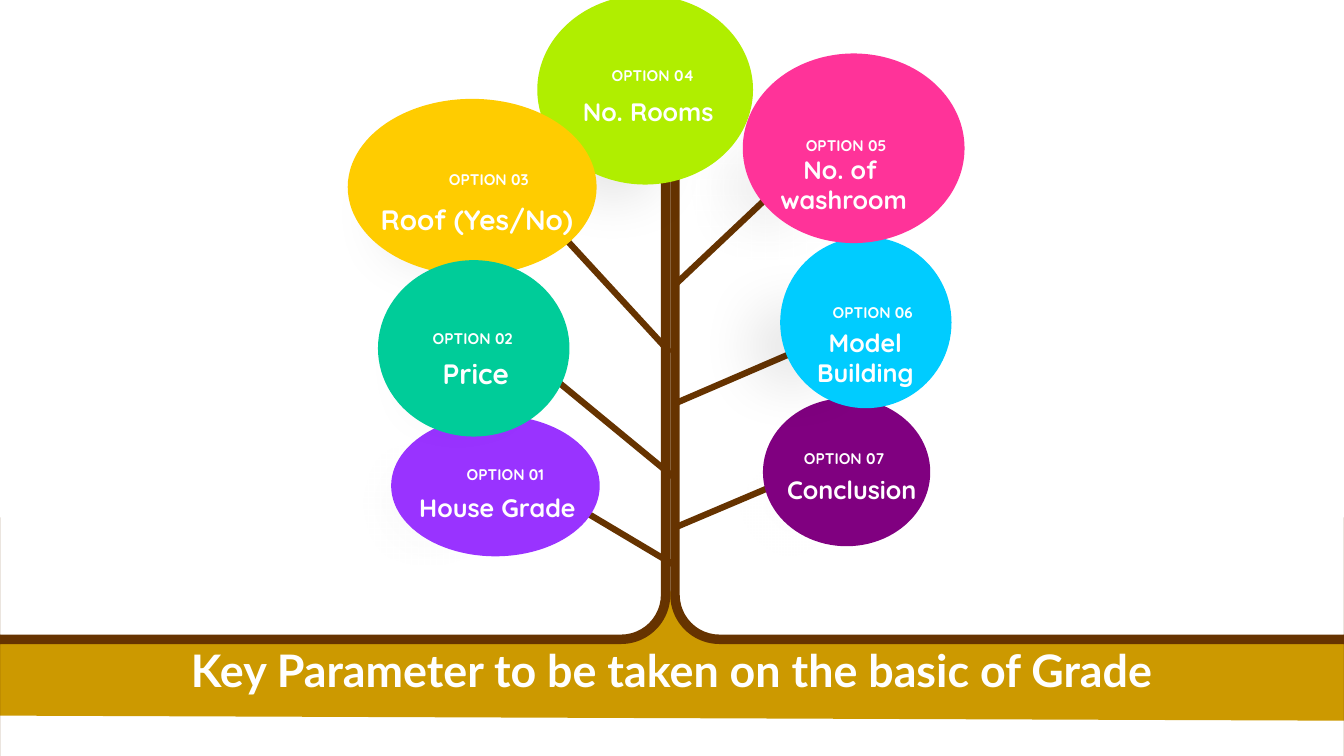
from dataclasses import dataclass
from typing import NamedTuple

import lxml.etree
import pptx
import pptx.dml.color
import pptx.enum.shapes
import pptx.enum.text
import pptx.oxml.ns
import pptx.util

Pt = pptx.util.Pt
qn = pptx.oxml.ns.qn
MSO_SHAPE = pptx.enum.shapes.MSO_SHAPE


@dataclass(frozen=True)
class Theme:
    soil: str = "CC9900"
    bark: str = "663300"
    shade: str = "000000"
    text: str = "FFFFFF"
    heading_font: str = "Lato"
    label_font: str = "Quicksand"
    heading_size: float = 32
    option_size: float = 11
    shade_opacity: int = 21000
    soft_edge: float = 50
    branch_width: float = 4.5


class Box(NamedTuple):
    left: float
    top: float
    width: float
    height: float


class Branch(NamedTuple):
    x1: float
    y1: float
    x2: float
    y2: float


@dataclass(frozen=True)
class Leaf:
    number: int
    name: str
    color: str
    shade: Box
    ball: Box
    option: Box
    caption: Box
    size: float = 18


THEME = Theme()
WIDTH, HEIGHT = 960, 540
TRUNK_X, TRUNK_TOP, TRUNK_HEIGHT = 478.8, 92.9, 450.7
TRUNK_ADJUSTMENTS = (0.015, 0.193, 0, 0.078)
TITLE = "Key Parameter to be taken on the basic of Grade"
TITLE_BOX = Box(0, 453, WIDTH, 50)
TRUNK_SHADE = Box(436.3, 121, 71.3, 375.1)

GROUND = [
    (-1.4, 455.8), (447.1, 457.9), (468.7, 446.4), (477.4, 419), (490.3, 446.4),
    (515.5, 457.9), (812.9, 456.5), (962.6, 456.5), (961.2, 514.8), (-2.2, 511.2),
]
BRANCHES = [
    Branch(478.8, 252, 387.4, 152.6),
    Branch(481, 204.5, 558, 131.8),
    Branch(481, 340.6, 387.4, 263.5),
    Branch(481, 288.7, 579.6, 246.2),
    Branch(481, 403.2, 413.3, 362.9),
    Branch(481, 377.3, 555.8, 345.6),
]
LEAVES = [
    Leaf(1, "House Grade ", "9933FF", Box(209.5, 288.7, 191.5, 141.8), Box(279.4, 296.6, 149, 100.8),
         Box(303.8, 329, 114.5, 20.9), Box(270, 347.8, 175.7, 28.8)),
    Leaf(7, "Conclusion", "800080", Box(480.2, 291.6, 167, 141.8), Box(545, 284.4, 119.5, 105.8),
         Box(553, 317.5, 100, 20.9), Box(551.5, 335.5, 113.8, 28.8)),
    Leaf(6, "Model Building", "00CCFF", Box(475.2, 157, 180, 180), Box(557.3, 169.2, 122.4, 122.4),
         Box(581, 213.1, 85, 20.9), Box(551.5, 230.4, 133.2, 51.1)),
    Leaf(5, "No. of \nwashroom", "FF3399", Box(457.9, 50.4, 177.8, 167), Box(530.6, 38.2, 158.4, 135.4),
         Box(560.9, 93.6, 87.1, 20.9), Box(512.6, 106.6, 180, 51.1)),
    Leaf(4, "No. Rooms", "B0EE00", Box(339.1, 24.5, 197.3, 173.5), Box(383.8, -3.6, 154.1, 135.4),
         Box(418.3, 43.9, 96.5, 20.9), Box(369.4, 65.5, 187.2, 28.8)),
    Leaf(3, "Roof (Yes/No)", "FFCC00", Box(209.5, 62.6, 201.6, 180), Box(248.4, 70.6, 177.8, 126),
         Box(301.7, 118.1, 95, 20.9), Box(251.3, 141.1, 178.6, 31.7), 20),
    Leaf(2, "Price", "00CC99", Box(236.9, 172.1, 180, 180), Box(270, 185.8, 136.8, 126),
         Box(295.2, 231.8, 85, 20.9), Box(272.9, 251.3, 133.9, 31.7), 20),
]


def rgb(color: str) -> pptx.dml.color.RGBColor:
    return pptx.dml.color.RGBColor.from_string(color)


def paint(sp, color: str) -> None:
    """Give a shape a flat fill, with no outline and no shadow."""
    sp.fill.solid()
    sp.fill.fore_color.rgb = rgb(color)
    sp.line.fill.background()
    sp.shadow.inherit = False


def add_solid(shapes, kind, box: Box, color: str):
    sp = shapes.add_shape(kind, *map(Pt, box))
    paint(sp, color)
    return sp


def add_shade(shapes, kind, box: Box) -> None:
    """Draw a translucent dark shape with blurred edges."""
    props = add_solid(shapes, kind, box, THEME.shade).element.spPr
    color = props.find(qn("a:solidFill")).find(qn("a:srgbClr"))
    lxml.etree.SubElement(color, qn("a:alpha"), val=str(THEME.shade_opacity))
    effects = props.find(qn("a:effectLst"))
    lxml.etree.SubElement(effects, qn("a:softEdge"), rad=str(Pt(THEME.soft_edge)))


def write(tf, text: str, font: str, size: float) -> None:
    tf.word_wrap = True
    tf.text = text
    for p in tf.paragraphs:
        p.alignment = pptx.enum.text.PP_ALIGN.CENTER
        for r in p.runs:
            for key, value in {"name": font, "size": Pt(size), "bold": True}.items():
                setattr(r.font, key, value)
            r.font.color.rgb = rgb(THEME.text)


def add_label(shapes, box: Box, text: str, size: float) -> None:
    tf = shapes.add_textbox(*map(Pt, box)).text_frame
    write(tf, text, THEME.label_font, size)
    tf.auto_size = pptx.enum.text.MSO_AUTO_SIZE.SHAPE_TO_FIT_TEXT


def add_ground(s) -> None:
    points = [(Pt(x), Pt(y)) for x, y in GROUND]
    builder = s.shapes.build_freeform(*points[0])
    builder.add_line_segments(points[1:], close=True)
    paint(builder.convert_to_shape(), THEME.soil)


def add_trunk(s) -> None:
    """Draw two mirrored bent arrows that meet as the trunk."""
    trunk = s.shapes.add_group_shape()
    for left, right, mirrored in ((0, TRUNK_X, False), (TRUNK_X, WIDTH, True)):
        box = Box(left, TRUNK_TOP, right - left, TRUNK_HEIGHT)
        sp = add_solid(trunk.shapes, MSO_SHAPE.BENT_ARROW, box, THEME.bark)
        for i, value in enumerate(TRUNK_ADJUSTMENTS):
            sp.adjustments[i] = value
        sp.rotation = 180
        if mirrored:
            sp.element.spPr.find(qn("a:xfrm")).set("flipH", "1")


def add_branch(s, branch: Branch) -> None:
    line = s.shapes.add_connector(pptx.enum.shapes.MSO_CONNECTOR.STRAIGHT, *map(Pt, branch))
    line.line.color.rgb = rgb(THEME.bark)
    line.line.width = Pt(THEME.branch_width)
    lxml.etree.SubElement(line.element.spPr, qn("a:effectLst"))


def add_leaf(s, leaf: Leaf) -> None:
    shapes = s.shapes.add_group_shape().shapes
    add_shade(shapes, MSO_SHAPE.OVAL, leaf.shade)
    add_solid(shapes, MSO_SHAPE.OVAL, leaf.ball, leaf.color)
    add_label(shapes, leaf.option, f"OPTION {leaf.number:02}", THEME.option_size)
    add_label(shapes, leaf.caption, leaf.name, leaf.size)


def add_title(s) -> None:
    title = s.shapes.title
    for key, value in TITLE_BOX._asdict().items():
        setattr(title, key, Pt(value))
    write(title.text_frame, TITLE, THEME.heading_font, THEME.heading_size)
    title.text_frame.vertical_anchor = pptx.enum.text.MSO_ANCHOR.MIDDLE
    title.element.getparent().append(title.element)


def main() -> None:
    prs = pptx.Presentation()
    prs.slide_width, prs.slide_height = Pt(WIDTH), Pt(HEIGHT)
    s = prs.slides.add_slide(prs.slide_layouts[5])
    add_ground(s)
    add_title(s)
    add_shade(s.shapes, MSO_SHAPE.RECTANGLE, TRUNK_SHADE)
    add_trunk(s)
    for branch in BRANCHES:
        add_branch(s, branch)
    for leaf in LEAVES:
        add_leaf(s, leaf)
    prs.save("out.pptx")


if __name__ == "__main__":
    main()
